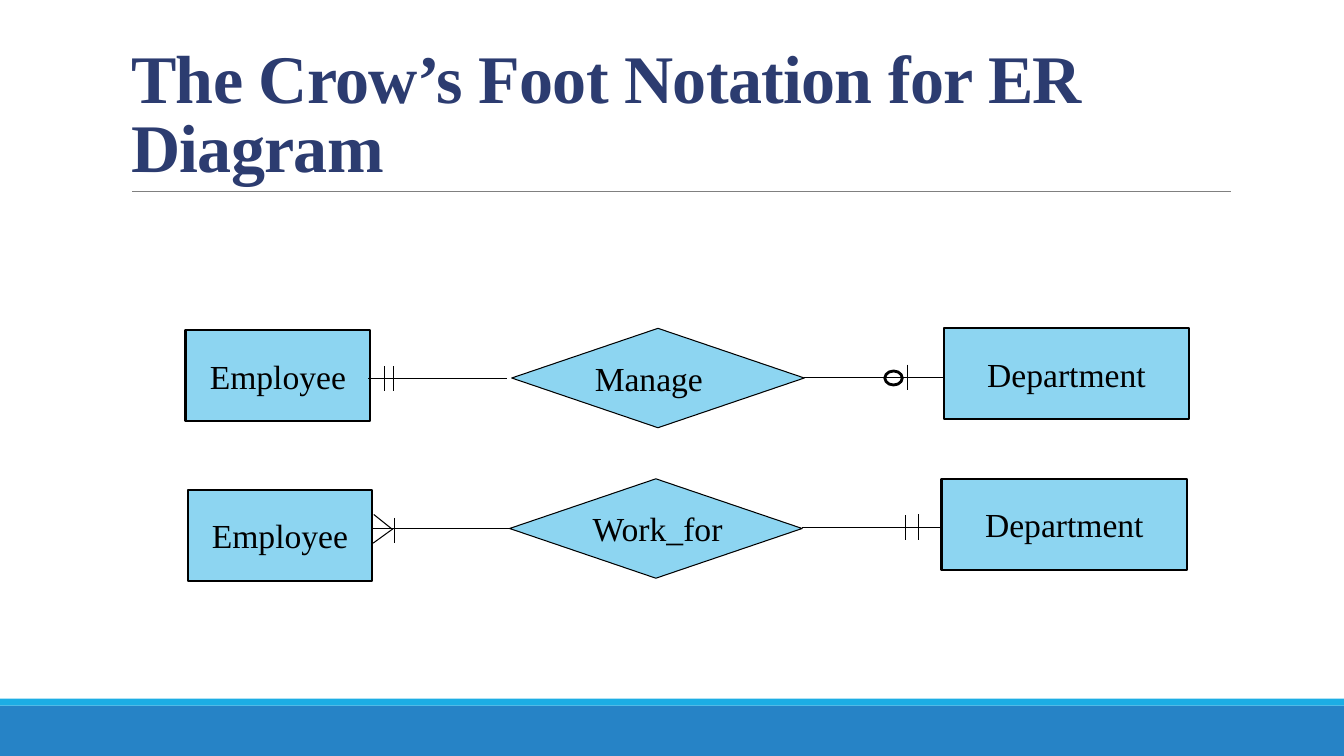
from dataclasses import dataclass

from lxml import etree
from pptx import Presentation
from pptx.dml.color import RGBColor
from pptx.enum.shapes import MSO_CONNECTOR, MSO_SHAPE
from pptx.enum.text import MSO_ANCHOR, MSO_AUTO_SIZE, PP_ALIGN
from pptx.oxml.ns import qn
from pptx.util import Pt

RECT, RHOMB = MSO_SHAPE.RECTANGLE, MSO_SHAPE.FLOWCHART_DECISION
RING = MSO_SHAPE.FLOWCHART_CONNECTOR
LINE = MSO_CONNECTOR.STRAIGHT
LEFT, MID = PP_ALIGN.LEFT, PP_ALIGN.CENTER
LOW, CORE = MSO_ANCHOR.BOTTOM, MSO_ANCHOR.MIDDLE
FIXED = MSO_AUTO_SIZE.NONE


@dataclass(frozen=True)
class Theme:
    font: str = "Times New Roman"
    head: str = "2C3C70"
    ink: str = "000000"
    rule: str = "808080"
    band: str = "2683C6"
    sky: str = "1CADE4"
    big: float = 48.6
    body: float = 24
    thin: float = 0.75
    link: float = 1
    edge: float = 1.5
    bold: float = 2


def write(shape, text, *, font, size, color, bold=False, align=MID,
          anchor=CORE, space=1, track=None, right=7.2):
    frame = shape.text_frame
    frame.word_wrap = True
    frame.auto_size = FIXED
    frame.vertical_anchor = anchor
    frame.margin_left, frame.margin_right = Pt(7.2), Pt(right)
    frame.margin_top = frame.margin_bottom = Pt(3.6)
    para = frame.paragraphs[0]
    para.alignment, para.line_spacing = align, space
    run = para.add_run()
    run.text = text
    run.font.name, run.font.size, run.font.bold = font, Pt(size), bold
    run.font.color.rgb = RGBColor.from_string(color)
    if track is not None:
        run.font._element.set("spc", str(track))


class Board:
    def __init__(self, slide, theme):
        self.slide, self.theme = slide, theme

    def title(self, text, *box):
        t, shape = self.theme, self.slide.shapes.title
        shape.left, shape.top, shape.width, shape.height = map(Pt, box)
        write(shape, text, font=t.font, size=t.big, color=t.head, bold=True,
              align=LEFT, anchor=LOW, space=0.85, track=-50)

    def shape(self, kind, *box, fill=None, edge=None, alpha=None):
        shape = self.slide.shapes.add_shape(kind, *map(Pt, box))
        shape.shadow.inherit = False
        if fill:
            shape.fill.solid()
            shape.fill.fore_color.rgb = RGBColor.from_string(fill)
        else:
            shape.fill.background()
        if alpha:
            color = shape._element.spPr.find(".//" + qn("a:srgbClr"))
            etree.SubElement(color, qn("a:alpha")).set("val", str(alpha * 1000))
        if edge:
            shape.line.width = Pt(edge)
            shape.line.color.rgb = RGBColor.from_string(self.theme.ink)
        else:
            shape.line.fill.background()
        return shape

    def node(self, kind, text, *box, edge, **style):
        t = self.theme
        shape = self.shape(kind, *box, fill=t.sky, edge=edge, alpha=50)
        write(shape, text, font=t.font, size=t.body, color=t.ink, **style)

    def entity(self, text, *box):
        self.node(RECT, text, *box, edge=self.theme.edge)

    def relation(self, text, *box):
        self.node(RHOMB, text, *box, edge=self.theme.thin, align=LEFT, right=0)

    def line(self, *ends, width=None, color=None):
        t = self.theme
        line = self.slide.shapes.add_connector(LINE, *map(Pt, ends))
        line.line.width = Pt(width or t.thin)
        line.line.color.rgb = RGBColor.from_string(color or t.ink)
        etree.SubElement(line._element.spPr, qn("a:effectLst"))

    def tick(self, x, mid):
        self.line(x, mid - 9, x, mid + 9)


deck = Presentation()
deck.slide_width, deck.slide_height = Pt(960), Pt(540)
theme = Theme()
board = Board(deck.slides.add_slide(deck.slide_layouts[5]), theme)

# Frame and title
board.shape(RECT, 0, 504, 960, 36, fill=theme.band)
board.shape(RECT, 0, 499, 960, 5, fill=theme.sky)
board.line(94.5, 136.5, 879, 136.5, width=0.5, color=theme.rule)
board.title("The Crow’s Foot Notation for ER Diagram", 86.5, 22.5, 792, 114.5)

# Relations with their departments
for name, x, y in (("Manage", 365.5, 234.5), ("Work_for", 364, 342)):
    board.relation(name, x, y, 209, 71)
    board.line(x + 209, y + 35, x + 308.5, y + 35, width=theme.link)
    board.entity("Department", x + 308.5, y, 175.5, 65)
    board.tick(x + 283, y + 35)

# Employees with their links
for x, y, start, mid in ((132.5, 236, 263, 270.5), (134, 350, 266, 377.5)):
    board.entity("Employee", x, y, 132, 65)
    board.line(start, mid, start + 99, mid, width=theme.link)

# Cardinality marks
for x, mid in ((274.5, 270.5), (281, 270.5), (281.5, 379), (656, 376.5)):
    board.tick(x, mid)
board.shape(RING, 632, 265, 12.5, 10, edge=theme.bold)
board.line(281, 377.5, 266.5, 388)
board.line(267, 367.5, 279.5, 377.5)

deck.save("out.pptx")
